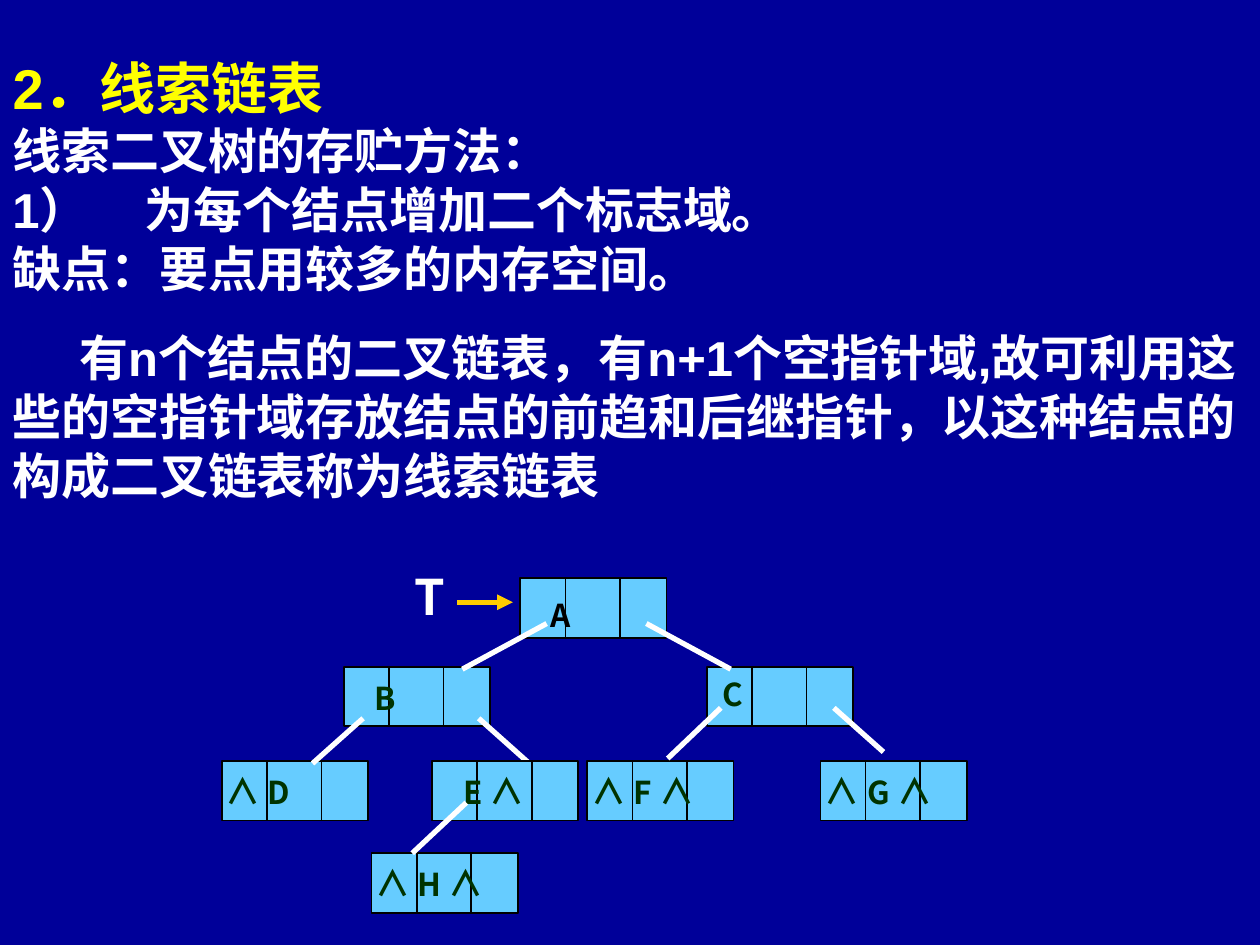
"""Build the slide on threaded linked lists with its tree of nodes."""
from lxml import etree
from pptx import Presentation
from pptx.dml.color import RGBColor
from pptx.enum.shapes import MSO_CONNECTOR, MSO_SHAPE
from pptx.enum.text import MSO_ANCHOR, PP_ALIGN
from pptx.oxml.ns import qn
from pptx.util import Cm, Pt

RECT = MSO_SHAPE.RECTANGLE
LINE = MSO_CONNECTOR.STRAIGHT
TOP = MSO_ANCHOR.TOP
LEFT, MID = PP_ALIGN.LEFT, PP_ALIGN.CENTER

NAVY = RGBColor(0x00, 0x00, 0x99)
YELLOW = RGBColor(0xFF, 0xFF, 0x00)
WHITE = RGBColor(0xFF, 0xFF, 0xFF)
BLACK = RGBColor(0x00, 0x00, 0x00)
GOLD = RGBColor(0xFF, 0xCC, 0x00)
SKY = RGBColor(0x66, 0xCC, 0xFF)
GREEN = RGBColor(0x00, 0x33, 0x00)

SANS, HAN = "Arial", "Noto Sans CJK SC"
TITLE = "2．线索链表"
# text, left margin, first-line indent, space before
BODY = [
    ("线索二叉树的存贮方法：", 0, 0, 0),
    ("1）\t为每个结点增加二个标志域。", 2.67, -2.67, 0),
    ("缺点：要点用较多的内存空间。", 0, 0, 0),
    ("有n个结点的二叉链表，有n+1个空指针域,故可利用这些的空指针域"
     "存放结点的前趋和后继指针，以这种结点的构成二叉链表称为线索链表", 0, 1.35, 17.5),
]

NIL = ("∧", 20)
WIDE, HIGH, CUTS = 2.95, 1.2, (0.91, 2.01)
BACK = [
    (4.47, 15.34, 0, 0.05, GREEN, [NIL, (" D", 18)]),
    (10.49, 11.66, 0.53, 0.23, BLACK, [("A", 18)]),
    (6.93, 13.44, 0.55, 0.13, GREEN, [("B", 18)]),
    (14.25, 13.44, 0.24, 0.05, GREEN, [("C", 18)]),
    (11.84, 15.34, 0, 0.05, GREEN, [NIL, (" F", 18), (" ", 20), NIL]),
    (7.49, 17.2, 0, 0.05, GREEN, [NIL, (" H ", 18), NIL]),
]
FRONT = [
    (8.71, 15.34, 0.55, 0.05, GREEN, [("E", 18), (" ", 16), NIL]),
    (16.54, 15.34, 0, 0.05, GREEN, [NIL, (" ", 20), ("G", 18), (" ", 20), NIL]),
]
UNDER = [
    (11.02, 12.57, 9.32, 13.49),
    (13.03, 12.57, 14.73, 13.49),
    (7.32, 14.48, 6.3, 15.39),
    (14.53, 14.27, 13.46, 15.29),
    (9.65, 14.48, 10.67, 15.39),
]
OVER = [(9.4, 16.18, 8.31, 17.2), (16.81, 14.27, 17.81, 15.16)]


def add_run(para, text, size, font, color):
    run = para.add_run()
    run.text = text
    run.font.size = Pt(size)
    run.font.name = font
    run.font.bold = True
    run.font.color.rgb = color


def add_box(slide, x, y, w, h, pad=0):
    frame = slide.shapes.add_textbox(Cm(x), Cm(y), Cm(w), Cm(h)).text_frame
    frame.word_wrap = True
    frame.margin_left = Cm(0.25 + pad)
    return frame


def add_line(slide, ends, color, width):
    line = slide.shapes.add_connector(LINE, *[Cm(v) for v in ends])
    line.line.color.rgb = color
    line.line.width = Pt(width)
    etree.SubElement(line.element.spPr, qn("a:effectLst"))
    return line


def add_node(slide, x, y, pad, drop, color, runs):
    cell = slide.shapes.add_shape(RECT, Cm(x), Cm(y), Cm(WIDE), Cm(HIGH))
    cell.shadow.inherit = False
    cell.fill.solid()
    cell.fill.fore_color.rgb = SKY
    cell.line.color.rgb = BLACK
    cell.line.width = Pt(1)
    for cut in CUTS:
        add_line(slide, (x + cut, y, x + cut, y + HIGH), BLACK, 1)
    para = add_box(slide, x - 0.17, y + drop, 3.53, 1.12, pad).paragraphs[0]
    for text, size in runs:
        add_run(para, text, size, HAN, color)


def add_text(slide):
    title = slide.shapes.title
    title.left, title.top, title.width, title.height = Cm(0), Cm(0.95), Cm(25.4), Cm(1.5)
    frame = title.text_frame
    frame.vertical_anchor = TOP
    para = frame.paragraphs[0]
    para.alignment = LEFT
    add_run(para, TITLE, 32, SANS, YELLOW)

    frame = add_box(slide, 0, 2.31, 25.4, 7.95)
    for i, (text, left, first, gap) in enumerate(BODY):
        para = frame.add_paragraph() if i else frame.paragraphs[0]
        props = para._p.get_or_add_pPr()
        props.set("marL", str(Cm(left)))
        props.set("indent", str(Cm(first)))
        para.space_before = Pt(gap)
        add_run(para, text, 28, SANS, WHITE)


def add_tree(slide):
    para = add_box(slide, 7.21, 11.3, 2.9, 1.45).paragraphs[0]
    para.alignment = MID
    add_run(para, "T", 28, HAN, WHITE)
    arrow = add_line(slide, (9.22, 12.14, 10.34, 12.14), GOLD, 3)
    etree.SubElement(arrow.line._get_or_add_ln(), qn("a:tailEnd"), type="triangle")
    for nodes, links in ((BACK, UNDER), (FRONT, OVER)):
        for node in nodes:
            add_node(slide, *node)
        for ends in links:
            add_line(slide, ends, WHITE, 3)


def main():
    deck = Presentation()
    deck.slide_width, deck.slide_height = Cm(25.4), Cm(19.05)
    slide = deck.slides.add_slide(deck.slide_layouts[5])
    slide.background.fill.solid()
    slide.background.fill.fore_color.rgb = NAVY
    add_text(slide)
    add_tree(slide)
    deck.save("out.pptx")


if __name__ == "__main__":
    main()
